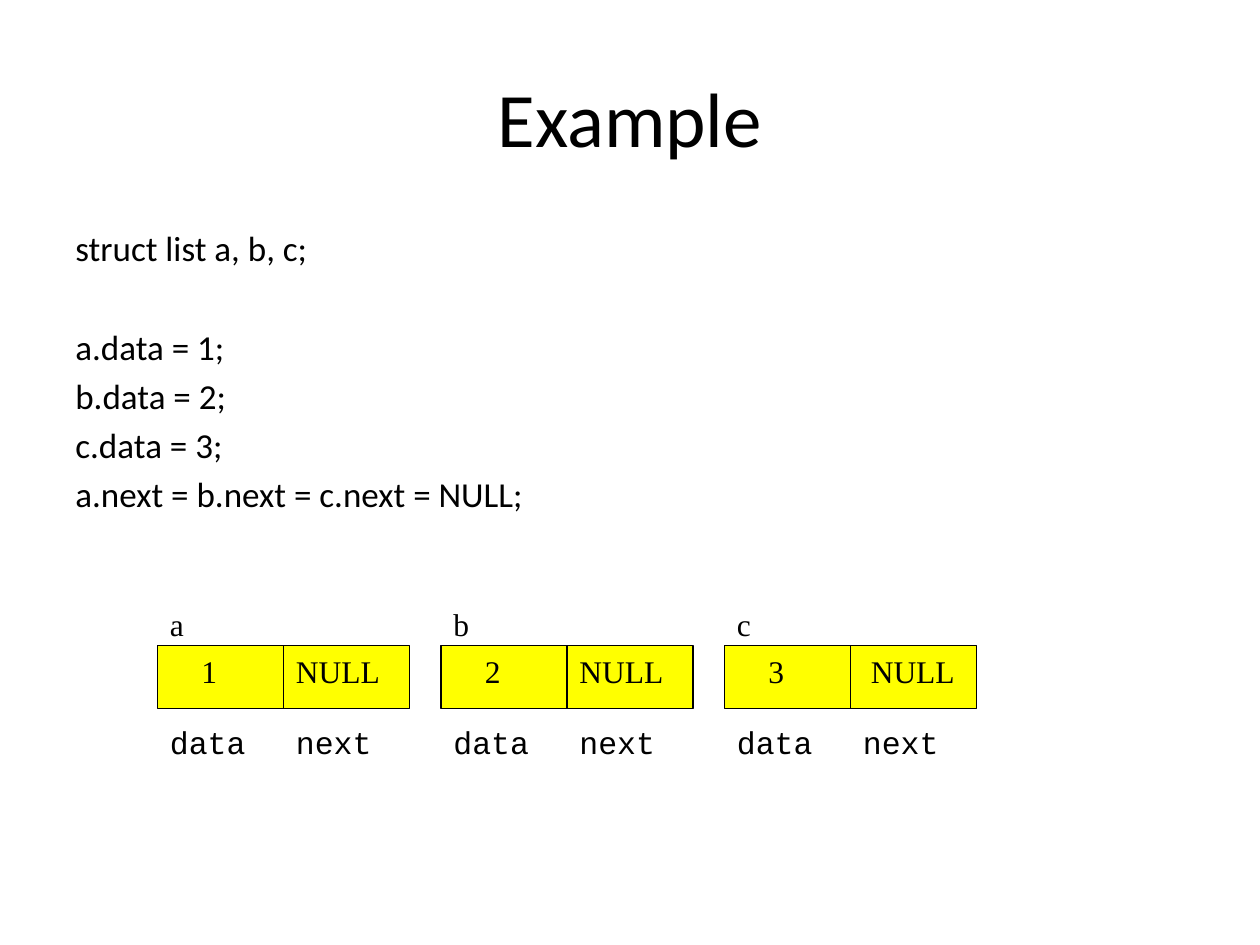
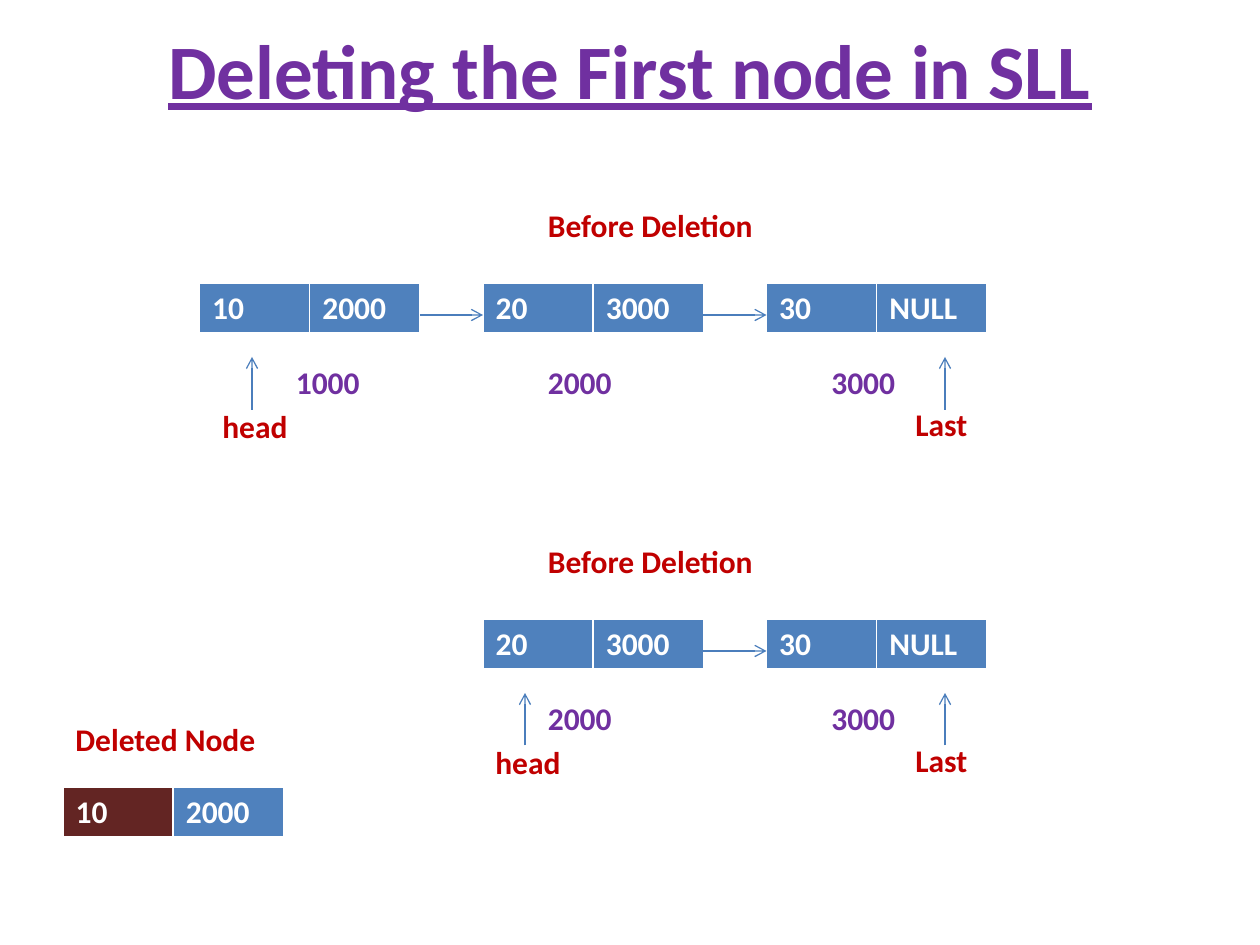
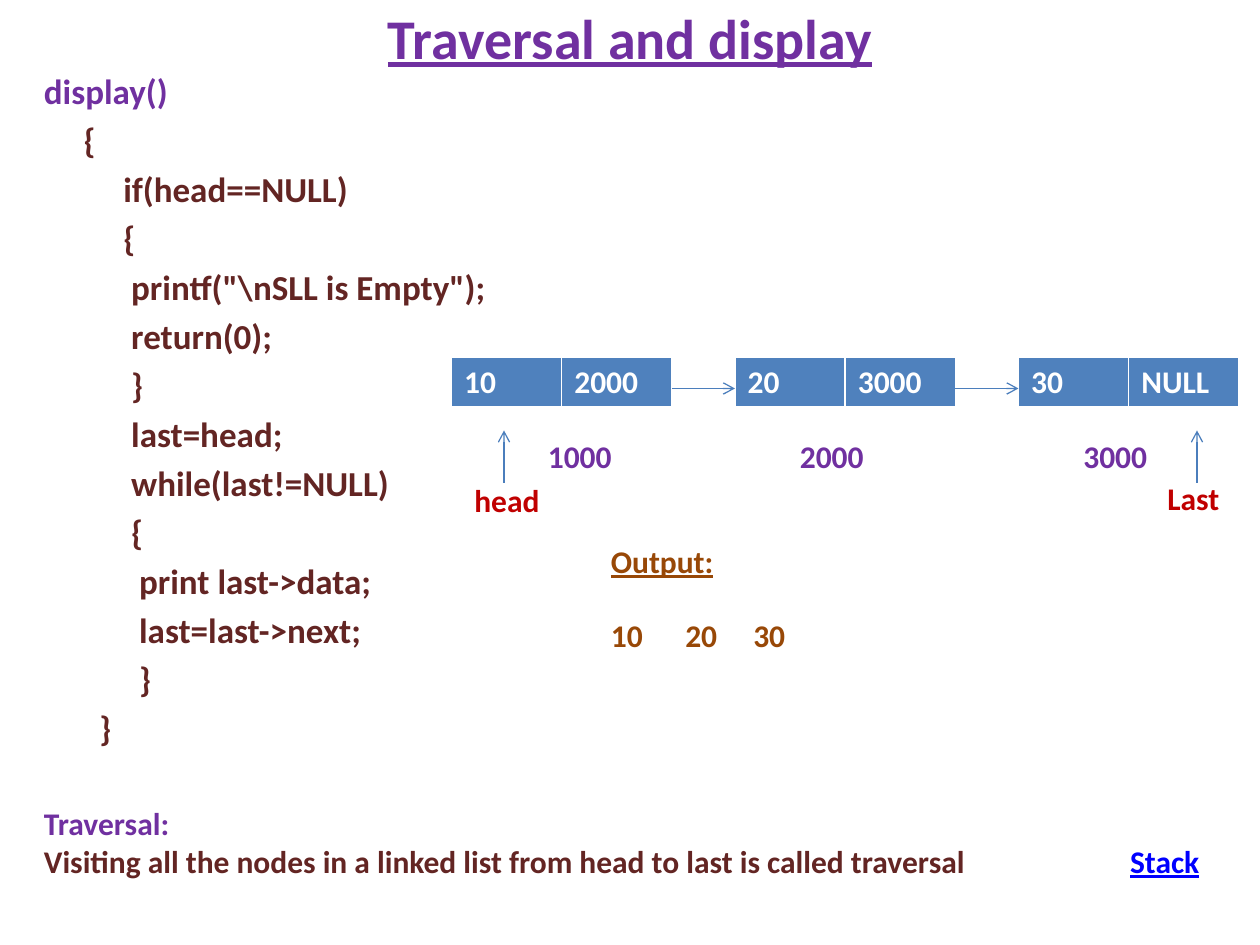
from dataclasses import dataclass, replace

from lxml import etree
from pptx import Presentation
from pptx.dml.color import RGBColor
from pptx.enum.shapes import MSO_CONNECTOR, MSO_SHAPE
from pptx.enum.text import MSO_ANCHOR, PP_ALIGN
from pptx.oxml.ns import qn
from pptx.util import Inches, Pt

LINE = MSO_CONNECTOR.STRAIGHT
RECT = MSO_SHAPE.RECTANGLE
MIDDLE = MSO_ANCHOR.MIDDLE
CENTER = PP_ALIGN.CENTER

COLORS = {
    "black": "000000", "white": "FFFFFF", "yellow": "FFFF00",
    "purple": "7030A0", "red": "C00000", "maroon": "632523",
    "brown": "984807", "blue": "4F81BD", "arrow": "4B7EBC", "link": "0000FF",
}
UNITS = 12          # grid units to the inch
PITCH = 27          # from one node to the next, in units
WIDTH = 21          # width of a table node
SPACE = 0.063       # width of one code indent step, in inches


@dataclass(frozen=True)
class Look:
    """The style of a line of text."""
    color: str = "black"
    size: int = 18
    bold: bool = False
    under: bool = False
    face: str = "Calibri"


TITLE = Look(size=44)
HEAD = Look("purple", 44, True, True)
BODY = Look(size=20)
CODE = Look("maroon", 20, True)
ADDRESS = Look("purple", bold=True)
LABEL = Look("red", bold=True)
CELL = Look("white", bold=True)
OUTPUT = Look("brown", bold=True)
SERIF = Look(face="Times New Roman")
MONO = Look(face="Courier New")


def grid(*nums):
    """Turn grid units into lengths."""
    return [Inches(num / UNITS) for num in nums]


def rgb(name):
    """Look up a colour."""
    return RGBColor.from_string(COLORS[name])


def style(font, look):
    """Apply a look to a font."""
    font.name, font.size = look.face, Pt(look.size)
    font.bold, font.underline = look.bold, look.under
    font.color.rgb = rgb(look.color)


def para(frame, words, look, gap=0, pad=0, tabs=()):
    """Add a line with space above, left indent and tab stops."""
    line = frame.paragraphs[0]
    if line.runs:
        line = frame.add_paragraph()
    line.add_run().text = words
    line.space_before = Pt(gap)
    props = line._p.get_or_add_pPr()
    if pad:
        props.set("marL", str(Inches(pad)))
    if tabs:
        stops = etree.SubElement(props, qn("a:tabLst"))
        for tab in tabs:
            etree.SubElement(stops, qn("a:tab"), pos=str(Inches(tab)), algn="l")
    style(line.font, look)
    return line


def frame(slide, *box):
    """Add an empty wrapping text box."""
    area = slide.shapes.add_textbox(*grid(*box)).text_frame
    area.word_wrap = True
    return area


def label(slide, words, look, x, y, wide=11, high=4.8):
    """Add a one-line text box."""
    para(frame(slide, x, y, wide, high), words, look)


def title(slide, words, top, look):
    """Add the centred slide title."""
    area = frame(slide, 6, top, 108, 15)
    area.vertical_anchor = MIDDLE
    para(area, words, look).alignment = CENTER


def stroke(slide, start, end, color="arrow", tip=True):
    """Draw a thin line, with an open arrowhead if wanted."""
    line = slide.shapes.add_connector(LINE, *grid(*start, *end))
    line.line.color.rgb = rgb(color)
    line.line.width = Pt(0.75)
    if tip:
        etree.SubElement(line.line._get_or_add_ln(), qn("a:tailEnd"), type="arrow")
    etree.SubElement(line._element.spPr, qn("a:effectLst"))


def border(cell):
    """Give a cell white edges, the bottom one thick."""
    props = cell._tc.get_or_add_tcPr()
    for spot, (side, width) in enumerate(zip("LRTB", (1, 1, 1, 3))):
        edge = etree.Element(qn("a:ln" + side), w=str(Pt(width)))
        fill = etree.SubElement(edge, qn("a:solidFill"))
        etree.SubElement(fill, qn("a:srgbClr"), val=COLORS["white"])
        props.insert(spot, edge)


def node(slide, x, y, words, first="blue"):
    """Add a list node as a table of two cells."""
    table = slide.shapes.add_table(1, 2, *grid(x, y, WIDTH, 4.87)).table
    for cell, word, color in zip(table.rows[0].cells, words, (first, "blue")):
        cell.fill.solid()
        cell.fill.fore_color.rgb = rgb(color)
        para(cell.text_frame, word, CELL)
        border(cell)


def chain(slide, x, y, nodes, lead):
    """Draw linked nodes, their addresses and the head and last marks."""
    for num, (place, data, link) in enumerate(nodes):
        left = x + num * PITCH
        node(slide, left, y, (data, link))
        if num:
            stroke(slide, (left - PITCH + WIDTH, y + 3), (left, y + 3))
        shift = 5 if num else 5 + 3 * lead
        label(slide, place, ADDRESS, left + shift, y + 7)
    marks = (("head", x + lead, 4, 11.2), ("Last", left + 13, 4, 11))
    for word, spot, shift, drop in marks:
        stroke(slide, (spot + shift, y + 12), (spot + shift, y + 7))
        label(slide, word, LABEL, spot, y + drop)


def record(slide, x, name, value, shift):
    """Draw a struct as a split box with its field names."""
    top = 61.5
    box = slide.shapes.add_shape(RECT, *grid(x, top, 24, 6))
    box.shadow.inherit = False
    box.fill.solid()
    box.fill.fore_color.rgb = rgb("yellow")
    box.line.color.rgb = rgb("black")
    box.line.width = Pt(0.75)
    stroke(slide, (x + 12, top), (x + 12, top + 6), "black", False)
    label(slide, name, SERIF, x, 57, 6, 4.5)
    label(slide, value, SERIF, x + 3, top, 6, 4.5)
    label(slide, "NULL", SERIF, x + shift, top, 15, 4.5)
    for num, field in enumerate(("data", "next")):
        label(slide, field, MONO, x + 12 * num, 68.25, 13.5, 6)


def sample(slide):
    """Build the struct example."""
    title(slide, "Example", 3.6, TITLE)
    area = frame(slide, 6, 21, 108, 59.4)
    lines = (("struct list a, b, c;", 0), ("a.data = 1;", 32.4),
             ("b.data = 2;", 4), ("c.data = 3;", 4),
             ("a.next = b.next = c.next = NULL;", 4))
    for words, gap in lines:
        para(area, words, BODY, gap)
    for num, (name, shift) in enumerate((("a", 12), ("b", 12), ("c", 12.75))):
        record(slide, 15 + num * PITCH, name, str(num + 1), shift)


def delete(slide, nodes):
    """Build the deletion of the first node."""
    title(slide, "Deleting the First node in SLL", -1, HEAD)
    for x, y, part, lead in ((19, 27, nodes, 1), (46, 59, nodes[1:], 0)):
        label(slide, "Before Deletion", LABEL, 51, y - 8, PITCH)
        chain(slide, x, y, part, lead)
    label(slide, "Deleted Node", LABEL, 6, 68, PITCH)
    node(slide, 6, 75, nodes[0][1:], "maroon")


def display(slide, nodes):
    """Build the traversal code with its list and output."""
    title(slide, "Traversal and display", -4, replace(HEAD, size=32))
    area = frame(slide, 3, 6, 45, 67.5)
    para(area, "display()", replace(CODE, color="purple"))
    lines = (
        (5, "{"), (10, "if(head==NULL)"), (10, "{"),
        (11, 'printf("\\nSLL is Empty");'), (11, "return(0);"), (11, "}"),
        (11, "last=head;"), (11, "while(last!=NULL)"), (11, "{"),
        (12, "print last->data;"), (12, "last=last->next;"), (12, "}"), (7, "}"),
    )
    for steps, words in lines:
        para(area, words, CODE, 4, steps * SPACE)

    area = frame(slide, 3, 76, 117, 12.1)
    para(area, "Traversal:", ADDRESS)
    note = replace(CODE, size=18)
    line = para(area, "Visiting all the nodes in a linked list from head to last "
                "is called traversal\t", note, tabs=(8.62,))
    run = line.add_run()
    run.text = "Stack"
    style(run.font, replace(note, color="link", under=True))

    chain(slide, 43, 34, nodes, 1)
    area = frame(slide, 57, 51, 51, 12.1)
    para(area, "Output:", replace(OUTPUT, under=True))
    para(area, "10\t20\t30", OUTPUT, 21, tabs=(0.59, 1.13))


def main():
    """Build and save the slides."""
    deck = Presentation()
    deck.slide_width, deck.slide_height = Inches(10), Inches(7.5)
    nodes = (("1000", "10", "2000"), ("2000", "20", "3000"),
             ("3000", "30", "NULL"))
    first, second, third = (
        deck.slides.add_slide(deck.slide_layouts[6]) for _ in range(3))
    sample(first)
    delete(second, nodes)
    display(third, nodes)
    deck.save("out.pptx")


main()
